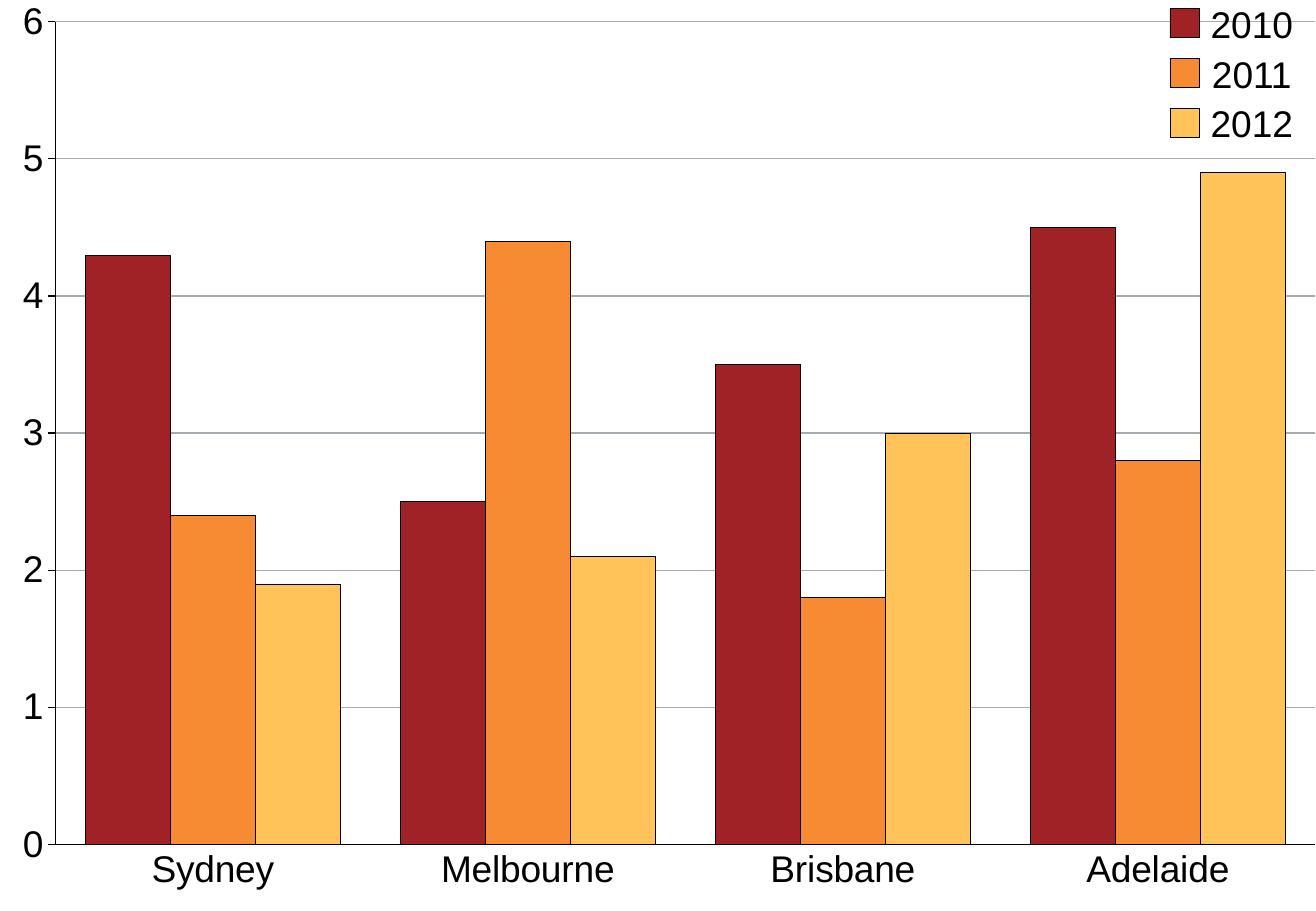
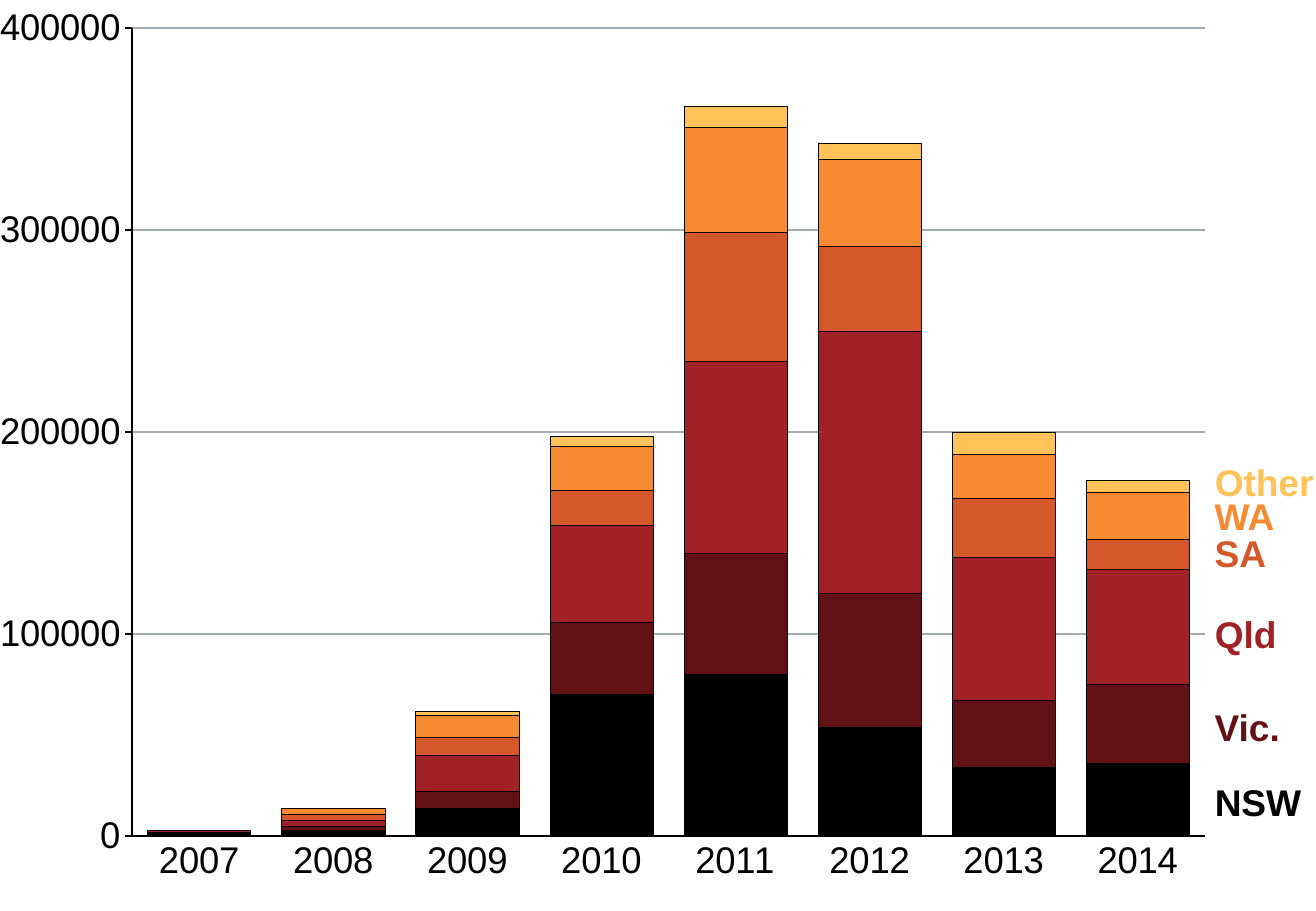
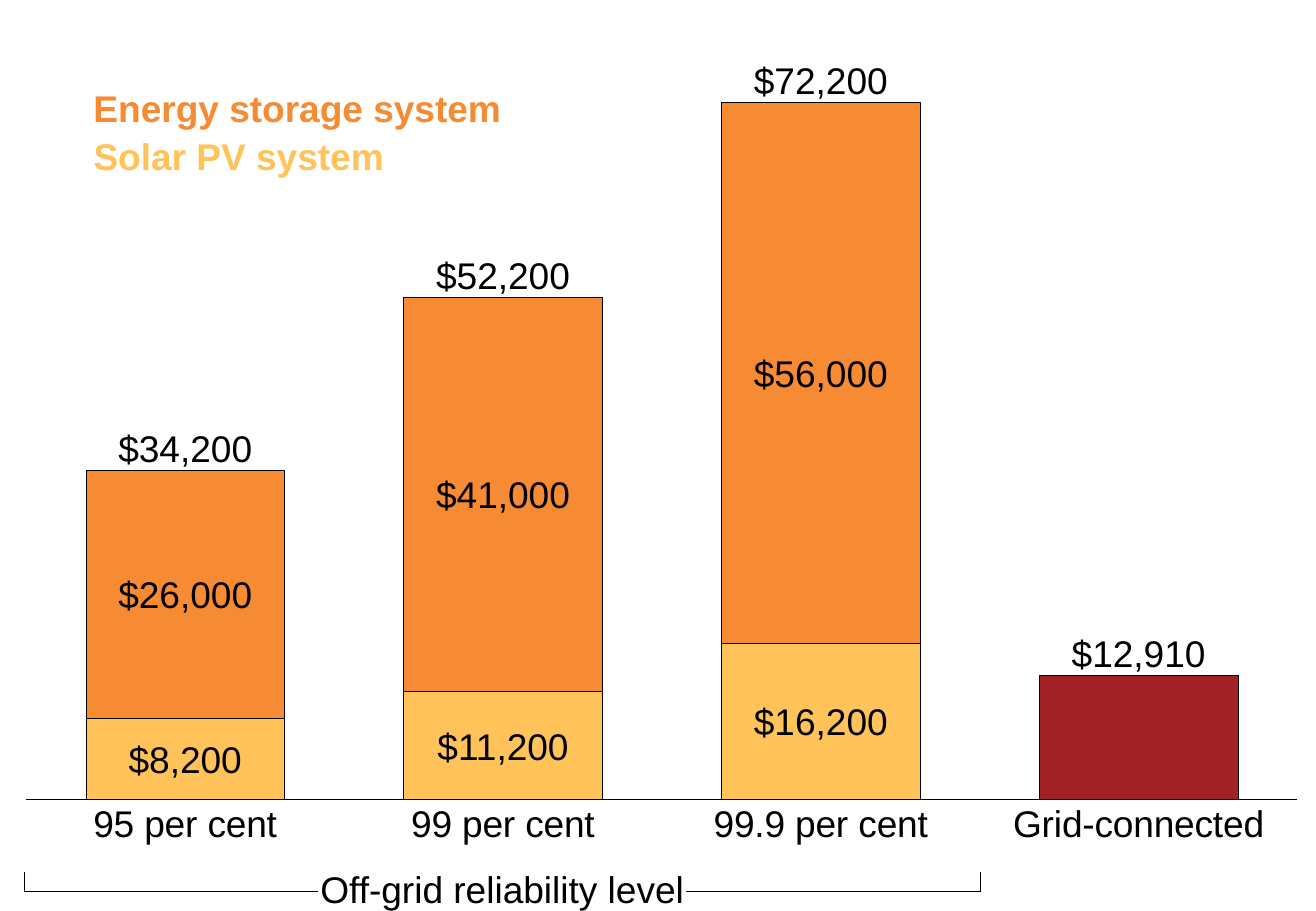
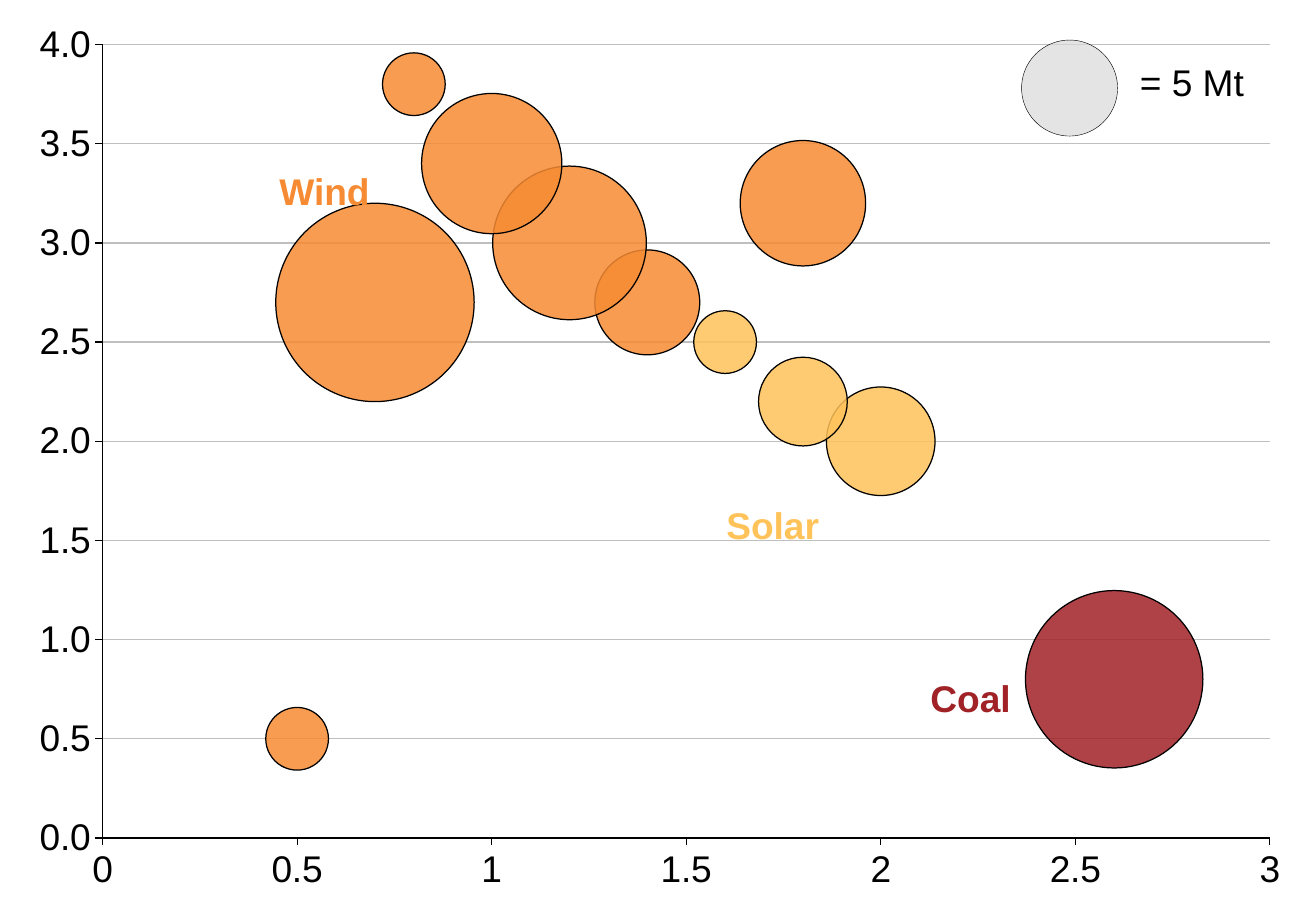
from dataclasses import dataclass

from lxml.etree import SubElement
from pptx import Presentation
from pptx.chart.data import BubbleChartData, CategoryChartData
from pptx.dml.color import RGBColor
from pptx.enum.chart import XL_CHART_TYPE as ChartType, XL_TICK_MARK as TickMark
from pptx.enum.shapes import MSO_CONNECTOR as Connector, MSO_SHAPE as Preset
from pptx.enum.text import MSO_ANCHOR as Anchor, MSO_AUTO_SIZE as AutoSize, PP_ALIGN as Align
from pptx.oxml import parse_xml
from pptx.oxml.ns import nsdecls, qn
from pptx.util import Inches, Pt

COLUMNS, ROWS = 130, 90
CELL = Inches(1) / 12
FONT, TEXT_SIZE = "Arial", 22
LABEL_HEIGHT = 4.44
HAIRLINE, AXIS_LINE = 0.25, 0.75

BLACK, WHITE, GRID, PALE_GRID, KEY_GREY = "000000", "FFFFFF", "A4ABB1", "BFBFBF", "D9D9D9"
MAROON, RED, RUST, ORANGE, YELLOW = "621214", "A02226", "D4582A", "F68B33", "FFC35A"


@dataclass
class ChartArea:
    """Chart box in grid cells, with the inner plot as shares of that box."""
    left: float
    top: float
    width: float
    height: float
    plot: tuple

    def x(self, share):
        return self.left + self.width * (self.plot[0] + self.plot[2] * share)

    def y(self, share):
        """Row at a share of the value axis, counted up from its foot."""
        return self.top + self.height * (self.plot[1] + self.plot[3] * (1 - share))


def cells(*lengths):
    return [round(length * CELL) for length in lengths]


def rgb(value):
    return RGBColor.from_string(value)


def set_line(line, color=BLACK, width=HAIRLINE):
    line.color.rgb = rgb(color)
    line.width = Pt(width)


def set_fill(fill, color):
    fill.solid()
    fill.fore_color.rgb = rgb(color)


def set_font(font, size=TEXT_SIZE, color=BLACK, bold=False):
    font.name, font.size, font.bold = FONT, Pt(size), bold
    font.color.rgb = rgb(color)


def set_opacity(element, percent):
    """Apply one opacity to every solid shape fill within an element."""
    for color in element.xpath(".//*[local-name()='spPr']/a:solidFill/a:srgbClr"):
        SubElement(color, qn("a:alpha")).set("val", str(percent * 1000))


def write_label(shape, text, color=BLACK, bold=False, align=Align.LEFT):
    frame = shape.text_frame
    frame.margin_left = frame.margin_top = frame.margin_right = frame.margin_bottom = 0
    frame.word_wrap = False
    frame.auto_size = AutoSize.SHAPE_TO_FIT_TEXT
    frame.vertical_anchor = Anchor.TOP
    paragraph = frame.paragraphs[0]
    paragraph.text = text
    paragraph.alignment = align
    set_font(paragraph.font, color=color, bold=bold)


def add_label(slide, text, left, top, width, **style):
    shape = slide.shapes.add_textbox(*cells(left, top, width, LABEL_HEIGHT))
    write_label(shape, text, **style)


def add_preset(slide, preset, box, fill, outlined=True):
    shape = slide.shapes.add_shape(preset, *cells(*box))
    shape.shadow.inherit = False
    set_fill(shape.fill, fill)
    if outlined:
        set_line(shape.line)
    else:
        shape.line.fill.background()
    return shape


def add_line(shapes, start, end):
    connector = shapes.add_connector(Connector.STRAIGHT, *cells(*start, *end))
    set_line(connector.line, width=AXIS_LINE)
    SubElement(connector.element.spPr, qn("a:effectLst"))


def add_chart(slide, kind, area, data):
    box = cells(area.left, area.top, area.width, area.height)
    chart = slide.shapes.add_chart(kind, *box, data).chart
    chart.has_title = chart.has_legend = False
    set_font(chart.font, size=18)
    plot_area = chart.element.find(".//" + qn("c:plotArea"))
    for layout in plot_area.findall(qn("c:layout")):
        plot_area.remove(layout)
    places = "".join(f'<c:{name} val="{share}"/>' for name, share in zip("xywh", area.plot))
    plot_area.insert(0, parse_xml(
        f'<c:layout {nsdecls("c")}><c:manualLayout><c:layoutTarget val="inner"/>'
        f'<c:xMode val="edge"/><c:yMode val="edge"/>{places}</c:manualLayout></c:layout>'))
    return chart


def style_axis(axis, tick=TickMark.OUTSIDE, scale=None, grid=None, number_format="General"):
    """Format an axis; scale is minimum, maximum and step."""
    axis.major_tick_mark, axis.minor_tick_mark = tick, TickMark.NONE
    set_line(axis.format.line, width=AXIS_LINE)
    set_font(axis.tick_labels.font)
    axis.tick_labels.number_format = number_format
    axis.tick_labels.number_format_is_linked = False
    if scale:
        axis.minimum_scale, axis.maximum_scale, axis.major_unit = scale
    axis.has_major_gridlines = grid is not None
    if grid:
        set_line(axis.major_gridlines.format.line, grid, AXIS_LINE)


def add_column_chart(slide, kind, area, categories, series, gap, scale, grid=GRID):
    """Draw columns from (colour, values) pairs; no grid hides the value axis."""
    data = CategoryChartData()
    data.categories = categories
    for number, (_, values) in enumerate(series, 1):
        data.add_series(f"Series {number}", values)
    chart = add_chart(slide, kind, area, data)
    plot = chart.plots[0]
    plot.vary_by_categories = False
    plot.gap_width = gap
    plot.overlap = 100 if kind == ChartType.COLUMN_STACKED else 0
    for columns, (color, _) in zip(plot.series, series):
        set_fill(columns.format.fill, color)
        set_line(columns.format.line)
    style_axis(chart.category_axis, TickMark.NONE)
    style_axis(chart.value_axis, scale=scale, grid=grid)
    chart.value_axis.visible = grid is not None


def add_swatch_legend(slide, left, top, entries):
    size, pitch = 2.88, 4.92
    for row, (text, color) in enumerate(entries):
        y = top + row * pitch
        add_label(slide, text, left + 3.96, y - 0.72, 8.28, align=Align.CENTER)
        add_preset(slide, Preset.RECTANGLE, (left, y, size, size), color)


def build_city_slide(slide):
    area = ChartArea(0, 0, COLUMNS, ROWS, (0.042, 0.024, 0.958, 0.903))
    series = [
        (RED, (4.3, 2.5, 3.5, 4.5)),
        (ORANGE, (2.4, 4.4, 1.8, 2.8)),
        (YELLOW, (1.9, 2.1, 3, 4.9)),
    ]
    add_column_chart(slide, ChartType.COLUMN_CLUSTERED, area,
                     ("Sydney", "Melbourne", "Brisbane", "Adelaide"), series, 70, (0, 6, 1))
    colors = [color for color, _ in series]
    add_swatch_legend(slide, 115.56, 0.84, zip(("2010", "2011", "2012"), colors))


def build_state_slide(slide):
    area = ChartArea(0, -0.12, COLUMNS, 90.12, (0.084, 0.032, 0.83, 0.886))
    thousands = [
        (BLACK, (2, 3, 14, 70, 80, 54, 34, 36)),
        (MAROON, (0, 2, 8, 36, 60, 66, 33, 39)),
        (RED, (1, 3, 18, 48, 95, 130, 71, 57)),
        (RUST, (0, 3, 9, 17, 64, 42, 29, 15)),
        (ORANGE, (0, 3, 11, 22, 52, 43, 22, 23)),
        (YELLOW, (0, 0, 2, 5, 10, 8, 11, 6)),
    ]
    series = [(color, [value * 1000 for value in values]) for color, values in thousands]
    years = [str(year) for year in range(2007, 2015)]
    add_column_chart(slide, ChartType.COLUMN_STACKED, area, years, series, 30,
                     (0, 400000, 100000))
    for text, top, width, color in (
        ("Other", 45.36, 9.84, YELLOW),
        ("WA", 48.72, 6, ORANGE),
        ("SA", 52.44, 5.16, RUST),
        ("Qld", 60.36, 6.24, RED),
        ("Vic.", 69.6, 6.48, MAROON),
        ("NSW", 77.04, 8.64, BLACK),
    ):
        add_label(slide, text, 120, top, width, color=color, bold=True)


def add_bracket(slide, left, right, top, bottom, text):
    """Draw an upward bracket with its caption set into the line."""
    bracket = slide.shapes.add_group_shape()
    add_line(bracket.shapes, (right, bottom), (left, bottom))
    for x in (right, left):
        add_line(bracket.shapes, (x, bottom), (x, top))
    width = 36.36
    box = ((left + right - width) / 2, ROWS - LABEL_HEIGHT, width, LABEL_HEIGHT)
    caption = add_preset(slide, Preset.RECTANGLE, box, WHITE, outlined=False)
    write_label(caption, text, align=Align.CENTER)


def build_cost_slide(slide):
    area = ChartArea(0, -0.24, COLUMNS, 90.24, (0.02, 0.032, 0.966, 0.846))
    categories = ("95 per cent", "99 per cent", "99.9 per cent", "Grid-connected")
    series = [
        (YELLOW, (15, 20, 29, 0)),
        (ORANGE, (46, 73, 100, 0)),
        (RED, (0, 0, 0, 23)),
    ]
    segment_labels = [("$8,200", "$11,200", "$16,200"), ("$26,000", "$41,000", "$56,000")]
    totals = ("$34,200", "$52,200", "$72,200", "$12,910")
    maximum, width = 143, 13.44
    add_column_chart(slide, ChartType.COLUMN_STACKED, area, categories, series, 60,
                     (0, maximum, 36), grid=None)
    for column, total in enumerate(totals):
        left = area.x((column + 0.5) / len(categories)) - width / 2
        heights = [values[column] for _, values in series]
        for level, texts in enumerate(segment_labels):
            if column < len(texts):
                middle = sum(heights[:level]) + heights[level] / 2
                top = area.y(middle / maximum) - LABEL_HEIGHT / 2
                add_label(slide, texts[column], left, top, width, align=Align.CENTER)
        top = area.y(sum(heights) / maximum) - LABEL_HEIGHT
        add_label(slide, total, left, top, width, align=Align.CENTER)
    add_bracket(slide, 2.4, 96.84, 86.16, 88.08, "Off-grid reliability level")
    add_label(slide, "Solar PV system", 9.24, 13.2, 29.04, color=YELLOW, bold=True)
    add_label(slide, "Energy storage system", 9.24, 8.4, 40.8, color=ORANGE, bold=True)


def add_bubble_chart(slide, area, bubbles, main_color):
    """Draw (x, y, size, colour) bubbles as one series."""
    data = BubbleChartData()
    points = data.add_series("Series 1")
    for x, y, size, _ in bubbles:
        points.add_data_point(x, y, size)
    chart = add_chart(slide, ChartType.BUBBLE, area, data)
    series = chart.plots[0].series[0]
    formats = [(series.format, main_color)]
    formats += [(series.points[index].format, color)
                for index, (*_, color) in enumerate(bubbles) if color != main_color]
    for bubble_format, color in formats:
        set_fill(bubble_format.fill, color)
        set_line(bubble_format.line, width=AXIS_LINE)
    set_opacity(chart.element, 85)
    style_axis(chart.category_axis, scale=(0, 3, 0.5))
    style_axis(chart.value_axis, scale=(0, 4, 0.5), grid=PALE_GRID, number_format="#,##0.0")


def build_bubble_slide(slide):
    area = ChartArea(0, 0, COLUMNS, ROWS, (0.078, 0.049, 0.887, 0.871))
    bubbles = [
        (0.7, 2.7, 10, ORANGE),
        (1.8, 3.2, 4, ORANGE),
        (2.6, 0.8, 8, RED),
        (2, 2, 3, YELLOW),
        (1.8, 2.2, 2, YELLOW),
        (1.6, 2.5, 1, YELLOW),
        (1.4, 2.7, 2.8, ORANGE),
        (1.2, 3, 6, ORANGE),
        (1, 3.4, 5, ORANGE),
        (0.8, 3.8, 1, ORANGE),
        (0.5, 0.5, 1, ORANGE),
    ]
    add_bubble_chart(slide, area, bubbles, ORANGE)
    size_key = add_preset(slide, Preset.OVAL, (100.92, 3.96, 9.48, 9.48), KEY_GREY)
    set_opacity(size_key.element, 70)
    add_label(slide, "= 5 Mt", 112.44, 5.88, 10.44, align=Align.RIGHT)
    for text, left, top, width, color in (
        ("Wind", 27.6, 16.68, 9, ORANGE),
        ("Solar", 71.76, 49.68, 9.24, YELLOW),
        ("Coal", 91.92, 66.72, 8.04, RED),
    ):
        add_label(slide, text, left, top, width, color=color, bold=True)


def main():
    presentation = Presentation()
    presentation.slide_width, presentation.slide_height = cells(COLUMNS, ROWS)
    blank = presentation.slide_layouts[6]
    for build in (build_city_slide, build_state_slide, build_cost_slide, build_bubble_slide):
        build(presentation.slides.add_slide(blank))
    presentation.save("out.pptx")


if __name__ == "__main__":
    main()
